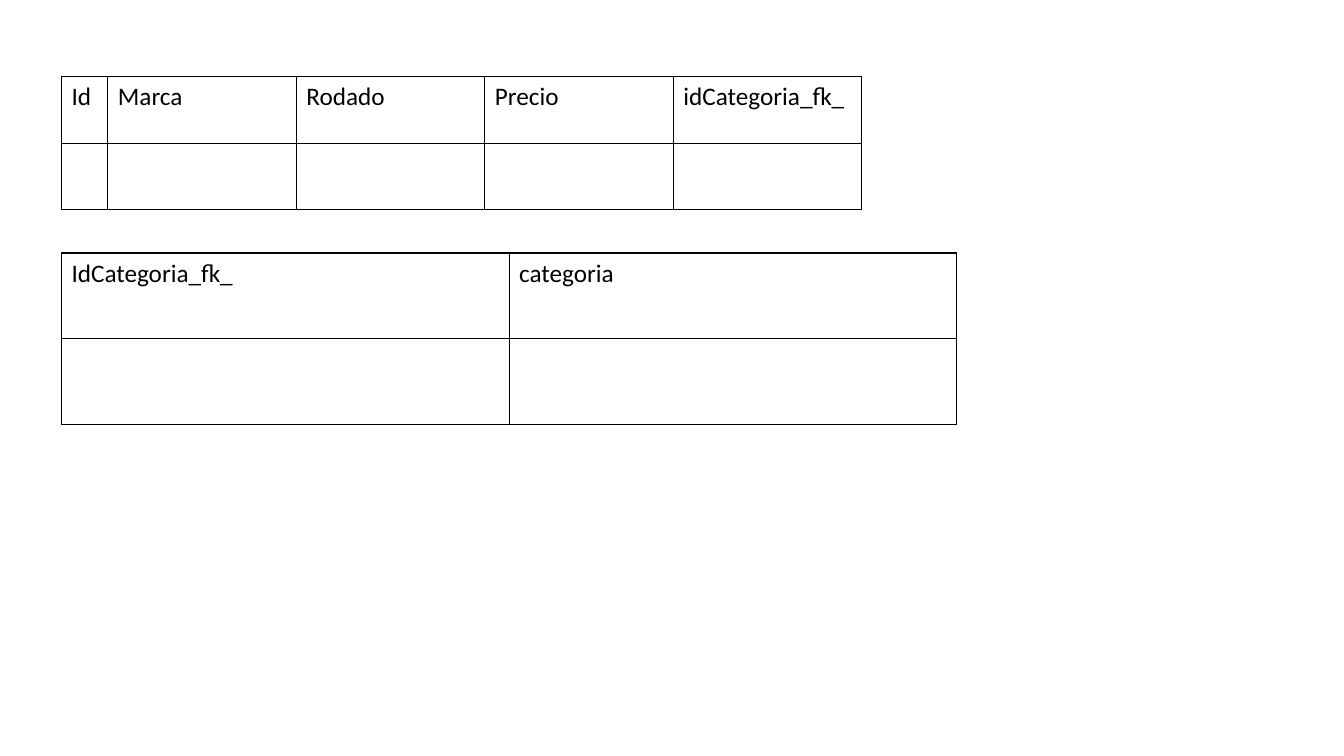
from lxml.etree import SubElement
from pptx import Presentation
from pptx.dml.color import RGBColor
from pptx.oxml.ns import qn
from pptx.util import Inches, Pt

COLORS = {"ink": "000000", "background": "FFFFFF"}
FONT = "Calibri"


def write_text(frame, text, size=18, color="ink", font=FONT):
    """Put one formatted paragraph into a text frame."""
    paragraph = frame.paragraphs[0]
    paragraph.font.size = Pt(size)
    if text:
        run = paragraph.add_run()
        run.text = text
        run.font.name = font
        run.font.size = Pt(size)
        run.font.color.rgb = RGBColor.from_string(COLORS[color])


class SchemaSlide:
    """Holds the slide and the style of its tables."""

    def __init__(self, presentation, border="ink", border_width=1):
        self.slide = presentation.slides.add_slide(presentation.slide_layouts[6])
        self.border = COLORS[border]
        self.border_width = Pt(border_width)
        fill = self.slide.background.fill
        fill.solid()
        fill.fore_color.rgb = RGBColor.from_string(COLORS["background"])

    def outline(self, cell):
        """Draw the four borders; they come before the fill in the XML."""
        properties = cell._tc.get_or_add_tcPr()
        for side in ("a:lnL", "a:lnR", "a:lnT", "a:lnB"):
            line = SubElement(properties, qn(side), w=str(self.border_width))
            solid = SubElement(line, qn("a:solidFill"))
            SubElement(solid, qn("a:srgbClr"), val=self.border)

    def table(self, left, top, widths, row_height, headers):
        """Add a header row with one empty row for data below it."""
        rows = [headers, [""] * len(headers)]
        table = self.slide.shapes.add_table(
            len(rows), len(headers), Inches(left), Inches(top),
            Inches(sum(widths)), Inches(row_height * len(rows))).table
        table.first_row = table.horz_banding = False
        for column, width in zip(table.columns, widths):
            column.width = Inches(width)
        for row, texts in zip(table.rows, rows):
            row.height = Inches(row_height)
            for cell, text in zip(row.cells, texts):
                self.outline(cell)
                cell.fill.background()
                write_text(cell.text_frame, text)


def main():
    presentation = Presentation()
    presentation.slide_width = Inches(13.33)
    presentation.slide_height = Inches(7.5)
    schema = SchemaSlide(presentation)
    left = 0.61

    # Product table
    schema.table(left, 0.76, [0.46] + [1.87] * 4, 0.66,
                 ["Id", "Marca", "Rodado", "Precio", "idCategoria_fk_"])

    # Category table
    schema.table(left, 2.51, [4.44] * 2, 0.85, ["IdCategoria_fk_", "categoria"])

    presentation.save("out.pptx")


if __name__ == "__main__":
    main()
